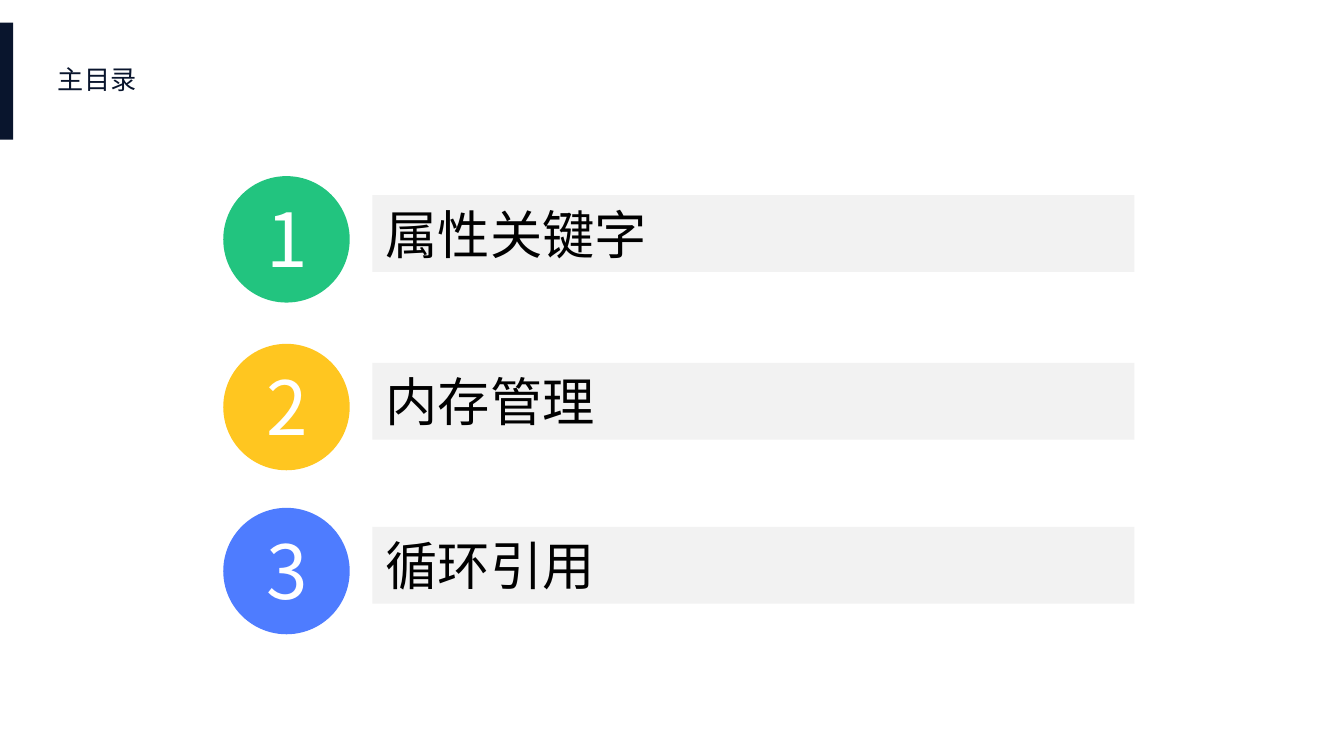
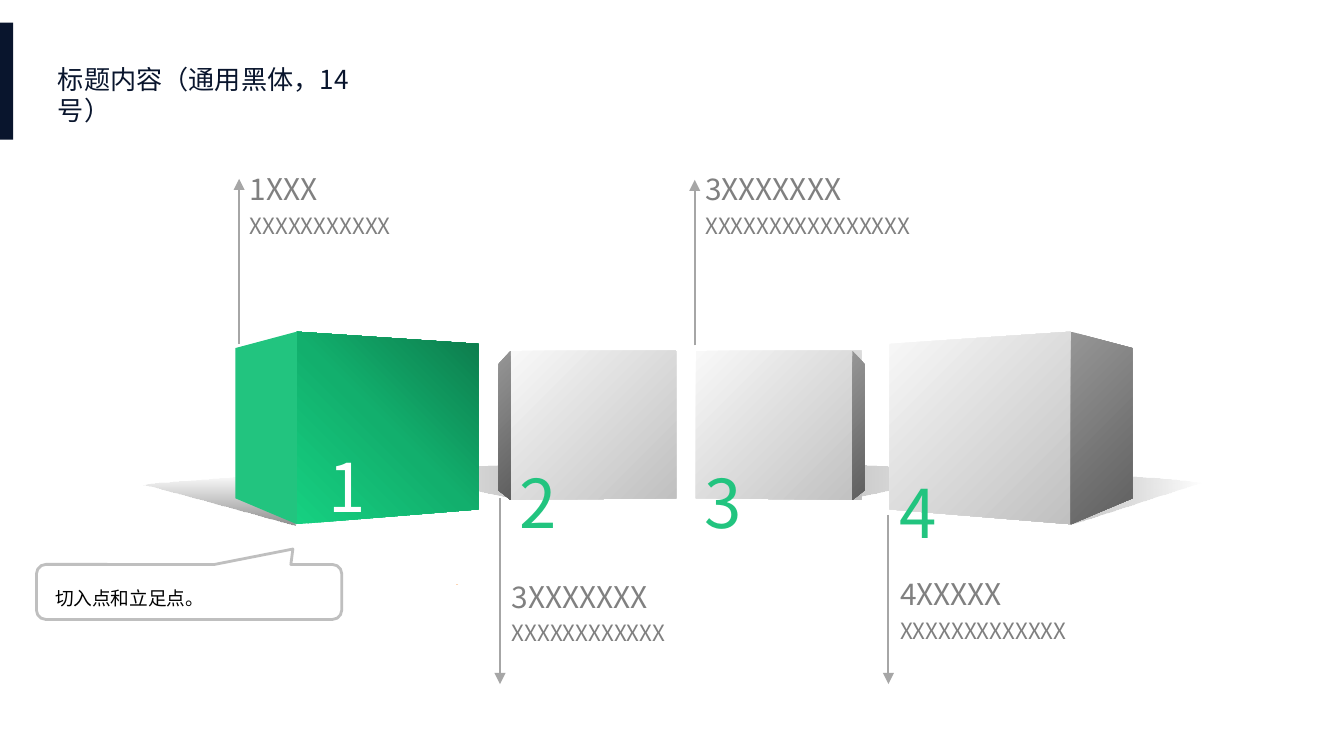
import pptx
import pptx.util
import pptx.dml.color
import pptx.enum.shapes
import pptx.enum.text
import pptx.oxml
import pptx.oxml.ns
from lxml import etree

Cm, Pt = pptx.util.Cm, pptx.util.Pt
SHAPE = pptx.enum.shapes.MSO_SHAPE
ALIGN = pptx.enum.text.PP_ALIGN
ANCHOR = pptx.enum.text.MSO_ANCHOR
AUTOFIT = pptx.enum.text.MSO_AUTO_SIZE
qn = pptx.oxml.ns.qn

FONT = "Noto Sans CJK SC"
COLORS = {
    "navy": "09152D", "green": "22C47F", "yellow": "FFC620", "blue": "4E7CFF",
    "band": "F2F2F2", "white": "FFFFFF", "black": "000000", "caption": "808080",
    "arrow": "A6A6A6", "callout": "BFBFBF", "speck": "0875F8", "peach": "FCD5B5",
}
# Gradient stops: position, colour, opacity (all but colour in percent)
FRONT = [(0, "F8F8F8", 100), (100, "C0C0C0", 100)]
SIDE = [(0, "969696", 100), (100, "5F5F5F", 100)]
FLOOR = [(0, "FFFFFF", 50), (100, "666666", 34)]
GREEN_FLOOR = [(0, "000000", 0), (100, "000000", 46)]
GREEN_FRONT = [(0, "0D7B4C", 100), (50, "12AF6D", 100), (100, "16D081", 100)]
ORANGE = [(0, "FCD5B5", 100), (50, "F79646", 100), (100, "E46C0A", 100)]


def rgb(name):
    return pptx.dml.color.RGBColor.from_string(COLORS[name])


# Text
def write(tf, lines, color, align=ALIGN.LEFT, spacing=None, anchor=ANCHOR.TOP,
          wrap=True, grow=True):
    """Fill a text frame with (text, size) lines."""
    tf.text = "\n".join(text for text, size in lines)
    tf.word_wrap = wrap
    tf.auto_size = AUTOFIT.SHAPE_TO_FIT_TEXT if grow else AUTOFIT.NONE
    tf.vertical_anchor = anchor
    for p, (text, size) in zip(tf.paragraphs, lines):
        p.alignment = align
        if spacing:
            p.line_spacing = spacing
        for r in p.runs:
            r.font.size = Pt(size)
            r.font.color.rgb = rgb(color)
            r.font.name = FONT
            ea = etree.SubElement(r.font._element, qn("a:ea"))
            ea.set("typeface", FONT)


def add_text(s, box, lines, color, **style):
    sp = s.shapes.add_textbox(*map(Cm, box))
    write(sp.text_frame, lines, color, **style)


def add_digit(s, box, digit, color, **style):
    add_text(s, box, [(digit, 36)], color, align=ALIGN.CENTER, grow=False, **style)


# Shapes
def add_solid(s, kind, box, fill):
    sp = s.shapes.add_shape(kind, *map(Cm, box))
    sp.shadow.inherit = False
    sp.fill.solid()
    sp.fill.fore_color.rgb = rgb(fill)
    sp.line.fill.background()
    return sp


def set_gradient(sp, stops, angle):
    """Linear gradient at an angle, or radial from the top right if angle is None."""
    sp.fill.gradient()
    grad = sp._element.spPr.find(qn("a:gradFill"))
    for child in list(grad):
        grad.remove(child)
    gs_list = etree.SubElement(grad, qn("a:gsLst"))
    for pos, color, opacity in stops:
        gs = etree.SubElement(gs_list, qn("a:gs"), pos=str(pos * 1000))
        clr = etree.SubElement(gs, qn("a:srgbClr"), val=color)
        if opacity < 100:
            etree.SubElement(clr, qn("a:alpha"), val=str(opacity * 1000))
    if angle is None:
        radial = etree.SubElement(grad, qn("a:path"))
        radial.set("path", "circle")
        etree.SubElement(radial, qn("a:fillToRect"), l="100000", b="100000")
    else:
        etree.SubElement(grad, qn("a:lin"), ang=str(angle * 60000), scaled="0")


def add_outline(s, points, fill, angle=45):
    """Closed outline; fill is a colour name or a list of gradient stops."""
    pts = [(Cm(x), Cm(y)) for x, y in points]
    builder = s.shapes.build_freeform(*pts[0], scale=1.0)
    builder.add_line_segments(pts[1:], close=True)
    sp = builder.convert_to_shape()
    sp.shadow.inherit = False
    sp.line.fill.background()
    if isinstance(fill, str):
        sp.fill.solid()
        sp.fill.fore_color.rgb = rgb(fill)
    else:
        set_gradient(sp, fill, angle)
    return sp


def mirror(points, total):
    return [(total - x, y) for x, y in points]


def bezier(a, b, c, d, steps=10):
    for i in range(1, steps + 1):
        t = i / steps
        k = ((1 - t) ** 3, 3 * t * (1 - t) ** 2, 3 * t * t * (1 - t), t ** 3)
        yield tuple(sum(w * p[n] for w, p in zip(k, (a, b, c, d))) for n in (0, 1))


def floor_shadow(start, before_tip, tip, after_tip, end):
    return [start, *bezier(start, start, before_tip, tip),
            *bezier(tip, after_tip, end, end)]


def add_arrow(s, x, y1, y2):
    cn = s.shapes.add_connector(pptx.enum.shapes.MSO_CONNECTOR.STRAIGHT,
                                Cm(x), Cm(y1), Cm(x), Cm(y2))
    cn.line.color.rgb = rgb("arrow")
    cn.line.width = Pt(1)
    etree.SubElement(cn.line._get_or_add_ln(), qn("a:tailEnd"), type="triangle")
    etree.SubElement(cn._element.spPr, qn("a:effectLst"))


# Shared slide frame
def new_slide(prs, title, width):
    s = prs.slides.add_slide(prs.slide_layouts[5])
    add_solid(s, SHAPE.RECTANGLE, (-0.28, 0.43, 0.53, 2.21), "navy")
    sp = s.shapes.title
    sp.left, sp.top, sp.width, sp.height = map(Cm, (0.84, 1.07, width, 0.86))
    write(sp.text_frame, [(title, 14)], "navy")
    return s


def add_contents(prs):
    s = new_slide(prs, "主目录", 2.72)
    chapters = [("属性关键字", "green", 3.33), ("内存管理", "yellow", 6.5),
                ("循环引用", "blue", 9.6)]
    for number, (name, color, top) in enumerate(chapters, 1):
        add_solid(s, SHAPE.OVAL, (4.22, top, 2.39, 2.39), color)
        add_text(s, (4.37, top + 0.2, 2.11, 1.96), [(str(number), 40)], "white",
                 align=ALIGN.CENTER)
        band = add_solid(s, SHAPE.RECTANGLE, (7.04, top + 0.36, 14.4, 1.45), "band")
        write(band.text_frame, [(name, 28)], "black")


def add_cubes(prs):
    s = new_slide(prs, "标题内容（通用黑体，14号）", 6.71)

    # Floor shadows
    inner_floor = floor_shadow((9.75, 9.42), (7.29, 8.94), (7.16, 8.94),
                               (7.04, 8.92), (9.47, 8.81))
    right_floor = floor_shadow((20.24, 9.91), (22.58, 9.17), (22.71, 9.14),
                               (22.81, 9.12), (20.52, 8.94))
    left_floor = floor_shadow((5.59, 9.93), (2.84, 9.19), (2.72, 9.17),
                              (2.59, 9.14), (5.28, 8.97))
    add_outline(s, inner_floor, FLOOR, 0)
    add_outline(s, mirror(inner_floor, 25.79), FLOOR, 180)
    add_outline(s, right_floor, FLOOR, 180)
    add_outline(s, left_floor, GREEN_FLOOR, 90)

    # Cube faces: the right half mirrors the left
    inner_front = [(12.78, 9.42), (9.65, 9.45), (9.65, 6.63), (12.78, 6.63)]
    inner_side = [(9.42, 6.88), (9.42, 9.27), (9.65, 9.45), (9.65, 6.63)]
    outer_front = [(5.61, 6.27), (5.61, 9.91), (9.04, 9.63), (9.04, 6.5)]
    outer_side = [(4.45, 6.58), (4.45, 9.42), (5.61, 9.91), (5.61, 6.27)]
    add_outline(s, inner_front, FRONT)
    add_outline(s, inner_side, SIDE)
    add_outline(s, mirror(outer_front, 25.85), FRONT)
    add_outline(s, mirror(outer_side, 25.85), SIDE)
    add_outline(s, mirror(inner_front, 25.93), FRONT)
    add_outline(s, mirror(inner_side, 25.76), SIDE)
    add_outline(s, outer_front, GREEN_FRONT, None)
    add_outline(s, outer_side, "green")

    # Captions
    captions = [
        ((4.47, 2.97, 5.84, 1.7), "1XXX", 11),
        ((13.08, 2.97, 7.14, 1.7), "3XXXXXXX", 16),
        ((9.42, 10.67, 6.63, 1.7), "3XXXXXXX", 12),
        ((16.76, 10.62, 5.84, 1.7), "4XXXXX", 13),
    ]
    for box, heading, count in captions:
        add_text(s, box, [(heading, 16), ("X" * count, 12)], "caption", spacing=1.2)

    # Arrows from the cubes to the captions
    for x, y1, y2 in [(4.52, 6.5, 3.38), (13.13, 6.53, 3.4),
                      (9.45, 9.42, 12.93), (16.79, 9.73, 12.93)]:
        add_arrow(s, x, y1, y2)

    # Cube numbers
    add_digit(s, (6.02, 8.81, 0.43, 0.74), "1", "white", anchor=ANCHOR.MIDDLE)
    for digit, x, y in [("2", 9.91, 8.59), ("3", 13.41, 8.59), ("4", 17.09, 8.79)]:
        add_digit(s, (x, y, 0.53, 0.74), digit, "green", wrap=False)

    # Small specks
    add_outline(s, [(9.73, 9.75), (9.65, 9.75)], "speck")
    speck = add_outline(s, [(8.66, 11.05), (8.61, 11.05)], ORANGE, 90)
    speck.line.color.rgb = rgb("peach")
    speck.line.width = Pt(0.75)

    # Callout
    sp = add_solid(s, SHAPE.ROUNDED_RECTANGULAR_CALLOUT, (0.69, 10.67, 5.77, 1.04), "white")
    for i, value in enumerate((0.34, -0.78, 0.17)):
        sp.adjustments[i] = value
    sp.line.color.rgb = rgb("callout")
    sp.line.width = Pt(1.5)
    tf = sp.text_frame
    tf.margin_left = tf.margin_right = Cm(0.3)
    tf.margin_top = tf.margin_bottom = Cm(0.15)
    write(tf, [("切入点和立足点。", 10)], "black", spacing=1.5, anchor=ANCHOR.MIDDLE)


def main():
    prs = pptx.Presentation()
    prs.slide_width, prs.slide_height = Cm(25.4), Cm(14.29)
    add_contents(prs)
    add_cubes(prs)
    prs.save("out.pptx")


if __name__ == "__main__":
    main()
